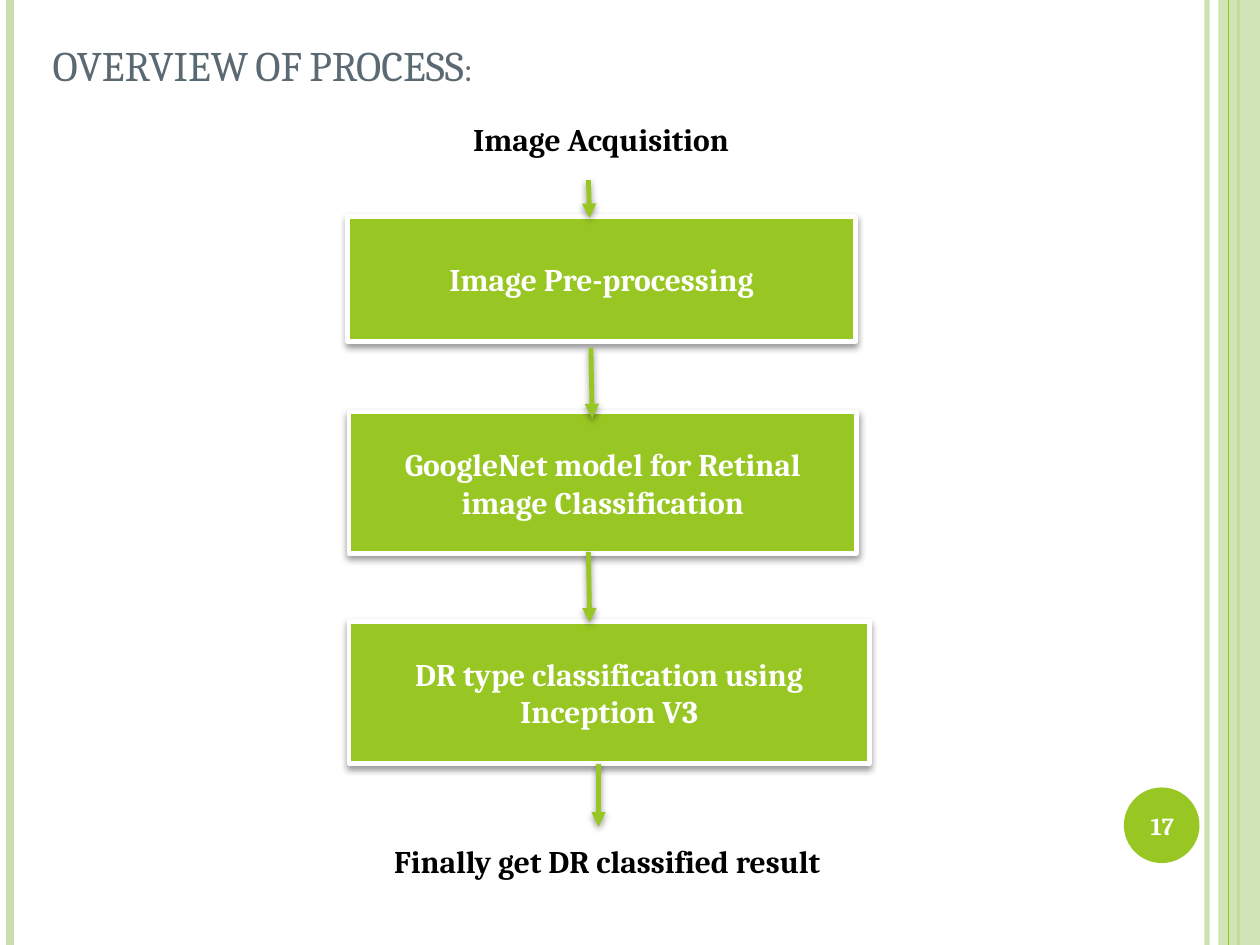
from lxml.etree import SubElement
from pptx import Presentation
from pptx.dml.color import RGBColor
from pptx.enum.shapes import MSO_CONNECTOR as CON, MSO_SHAPE as SHP
from pptx.enum.text import MSO_ANCHOR as ANC, MSO_AUTO_SIZE as FIT, PP_ALIGN as AL
from pptx.oxml.ns import qn
from pptx.util import Inches, Pt

COLORS = {
    "green": "98C723",
    "pale": "CAE0AC",
    "slate": "5B6973",
    "white": "FFFFFF",
    "black": "000000",
}


class Deck:
    font = "Cambria"

    def __init__(self, width, height):
        self.prs = Presentation()
        self.prs.slide_width = Inches(width)
        self.prs.slide_height = Inches(height)
        self.s = self.prs.slides.add_slide(self.prs.slide_layouts[6])

    def color(self, name):
        return RGBColor.from_string(COLORS[name])

    def alpha(self, parent, percent):
        SubElement(parent, qn("a:alpha"), val=str(percent * 1000))

    def shadow(self, sp, percent, dist):
        effects = SubElement(sp._element.spPr, qn("a:effectLst"))
        if percent:
            outer = SubElement(effects, qn("a:outerShdw"), blurRad=str(Pt(4)),
                               dist=str(Pt(dist)), dir="5400000", rotWithShape="0")
            clr = SubElement(outer, qn("a:srgbClr"), val=COLORS["black"])
            self.alpha(clr, percent)

    def fill_text(self, sp, text, size, color, bold=True, align=AL.CENTER,
                  anchor=ANC.MIDDLE):
        tf = sp.text_frame
        tf.word_wrap = True
        tf.vertical_anchor = anchor
        p = tf.paragraphs[0]
        p.alignment = align
        r = p.add_run()
        r.text = text
        p.font.name = self.font
        p.font.size = Pt(size)
        p.font.bold = bold
        p.font.color.rgb = self.color(color)
        return r

    def text(self, box, text, size=18, color="black", **style):
        sp = self.s.shapes.add_textbox(*map(Inches, box))
        return sp, self.fill_text(sp, text, size, color, **style)

    def title(self, box, text):
        sp, r = self.text(box, text, 24, "slate", bold=False, align=AL.LEFT,
                          anchor=ANC.BOTTOM)
        r.font._element.set("cap", "small")

    def label(self, box, text):
        sp, r = self.text(box, text, anchor=ANC.TOP)
        sp.text_frame.auto_size = FIT.SHAPE_TO_FIT_TEXT

    def shape(self, kind, box, color, opacity=100):
        sp = self.s.shapes.add_shape(kind, *map(Inches, box))
        sp.fill.solid()
        sp.fill.fore_color.rgb = self.color(color)
        sp.line.fill.background()
        sp.shadow.inherit = False
        if opacity < 100:
            self.alpha(sp._element.spPr.find(".//" + qn("a:srgbClr")), opacity)
        return sp

    def step(self, box, text):
        sp = self.shape(SHP.RECTANGLE, box, "green")
        sp.line.color.rgb = self.color("white")
        sp.line.width = Pt(2.75)
        sp.shadow.inherit = True
        self.shadow(sp, 40, 2)
        self.fill_text(sp, text, 18, "white")

    def line(self, start, end, color, width, opacity=100, arrow=False):
        c = self.s.shapes.add_connector(CON.STRAIGHT, *map(Inches, start + end))
        c.line.color.rgb = self.color(color)
        c.line.width = Pt(width)
        ln = c._element.spPr.find(qn("a:ln"))
        if opacity < 100:
            self.alpha(ln.find(".//" + qn("a:srgbClr")), opacity)
        if arrow:
            SubElement(ln, qn("a:tailEnd"), type="triangle")
        self.shadow(c, 42 if arrow else 0, 1.6)

    def stripe(self, x, color, width, opacity=100):
        self.line((x, 0), (x, 7.5), color, width, opacity)

    def arrow(self, start, end):
        self.line(start, end, "green", 2.75, arrow=True)


def main():
    d = Deck(10, 7.5)

    d.stripe(9.58, "pale", 3, 93)
    d.stripe(0.08, "pale", 4.5)
    d.stripe(9.83, "green", 1.5)
    d.shape(SHP.RECTANGLE, (9.67, 0, 0.33, 7.5), "pale", 87)
    d.stripe(9.75, "green", 0.75)
    d.shape(SHP.OVAL, (8.92, 6.25, 0.6, 0.6), "green")

    d.title((0.32, -0.49, 8.17, 1.25), "OVERVIEW OF PROCESS:")
    d.text((8.89, 6.27, 0.67, 0.57), "17", 14, "white")

    for box, text in (
        ((2.76, 1.72, 4.03, 0.99), "Image Pre-processing"),
        ((2.77, 3.27, 4.03, 1.12), "GoogleNet model for Retinal image Classification"),
        ((2.77, 4.93, 4.13, 1.13), "DR type classification using Inception V3"),
    ):
        d.step(box, text)

    for start, end in (
        ((4.67, 1.43), (4.68, 1.73)),
        ((4.69, 2.76), (4.7, 3.32)),
        ((4.67, 4.38), (4.68, 4.94)),
        ((4.75, 6.06), (4.75, 6.56)),
    ):
        d.arrow(start, end)

    d.label((2.76, 0.9, 4.02, 0.4), "Image Acquisition")
    d.label((2.76, 6.63, 4.12, 0.71), "Finally get DR classified result")

    d.prs.save("out.pptx")


if __name__ == "__main__":
    main()
